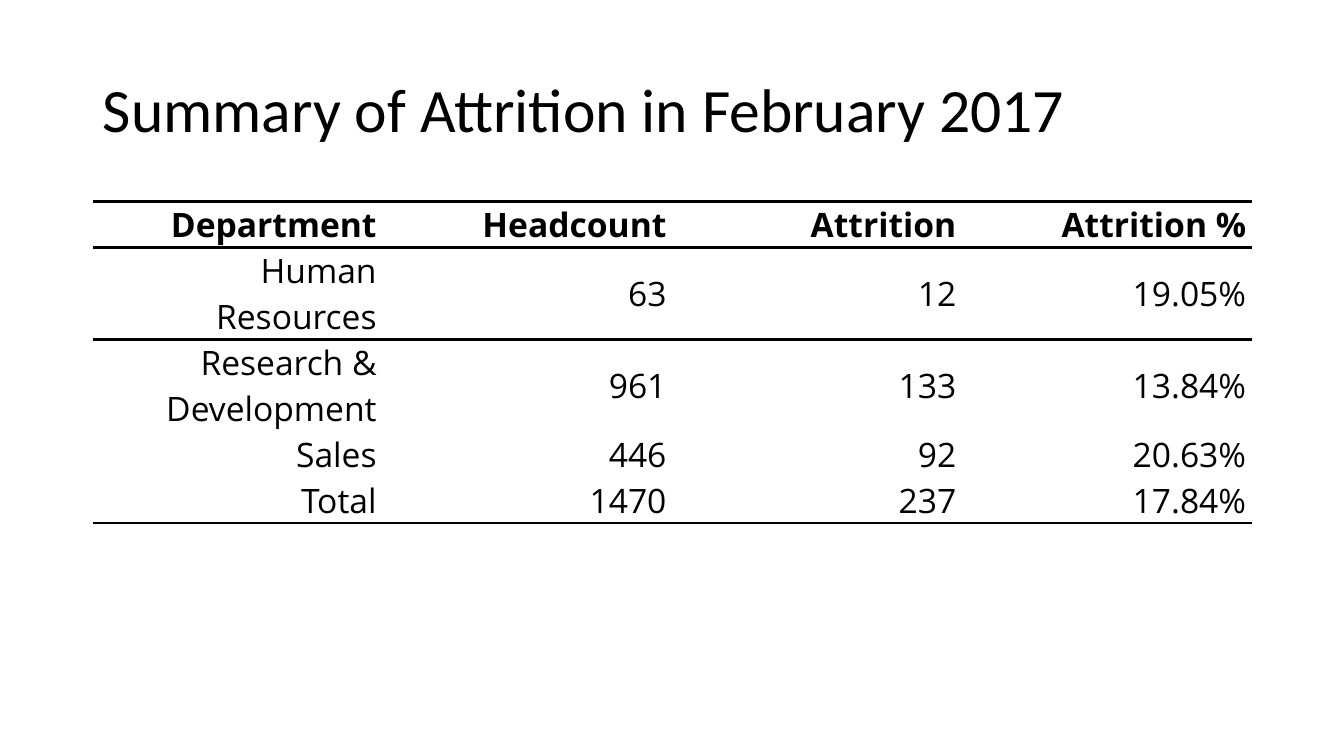
from lxml import etree
from pptx import Presentation
from pptx.dml.color import RGBColor
from pptx.enum.text import MSO_ANCHOR, PP_ALIGN
from pptx.oxml import parse_xml
from pptx.oxml.ns import qn
from pptx.util import Inches, Pt

LEFT, RIGHT = PP_ALIGN.LEFT, PP_ALIGN.RIGHT
MIDDLE = MSO_ANCHOR.MIDDLE
COLORS = {"ink": "000000"}
DRAW = "http://schemas.openxmlformats.org/drawingml/2006/main"
PLAIN = "{2D5ABB26-0587-4C30-8999-92F81FD0307C}"


def write(frame, text, size, font, align, bold=False):
    para = frame.paragraphs[0]
    para.alignment = align
    run = para.add_run()
    run.text = text
    run.font.size = Pt(size)
    run.font.name = font
    run.font.bold = bold
    run.font.color.rgb = RGBColor.from_string(COLORS["ink"])
    return para


def rule(cell, side):
    line = parse_xml(
        f'<a:{side} xmlns:a="{DRAW}" w="{Pt(2)}"><a:solidFill>'
        f'<a:srgbClr val="{COLORS["ink"]}"/></a:solidFill></a:{side}>')
    cell._tc.get_or_add_tcPr().insert(0, line)


deck = Presentation()
deck.slide_width, deck.slide_height = Inches(13.33), Inches(7.5)
slide = deck.slides.add_slide(deck.slide_layouts[5])

title = slide.shapes.title
title.left, title.top = Inches(0.92), Inches(0.39)
title.width, title.height = Inches(11.5), Inches(1.45)
title.text_frame.vertical_anchor = MIDDLE
head = write(title.text_frame, "Summary of Attrition in February 2017",
             size=44, font="Calibri", align=LEFT)
head.line_spacing = 0.9

rows = [
    ("Department", "Headcount", "Attrition", "Attrition %"),
    ("Human Resources", "63", "12", "19.05%"),
    ("Research & Development", "961", "133", "13.84%"),
    ("Sales", "446", "92", "20.63%"),
    ("Total", "1470", "237", "17.84%"),
]
lines = [1, 2, 2, 1, 1]
pitch = 0.45
last = len(rows) - 1

frame = slide.shapes.add_table(len(rows), len(rows[0]), Inches(0.92), Inches(2),
                               Inches(11.5), Inches(pitch * sum(lines)))
table = frame.table
table.horz_banding = False
etree.SubElement(table._tbl.tblPr, qn("a:tableStyleId")).text = PLAIN
for style in table._tbl.tblPr.findall(qn("a:tableStyleId"))[:-1]:
    table._tbl.tblPr.remove(style)

for r, row in enumerate(rows):
    table.rows[r].height = Inches(pitch * lines[r])
    for c, text in enumerate(row):
        cell = table.cell(r, c)
        cell.margin_left = cell.margin_right = 0
        cell.margin_top = cell.margin_bottom = 0
        cell.vertical_anchor = MIDDLE
        cell.fill.background()
        para = write(cell.text_frame, text, size=24, font="Open Sans",
                     align=RIGHT, bold=r == 0)
        para.space_before = para.space_after = Pt(1)
        props = para._p.get_or_add_pPr()
        for side in ("marL", "marR"):
            props.set(side, str(Inches(0.06)))
        if r in (0, last):
            rule(cell, "lnB")
        if r in (0, 1):
            rule(cell, "lnT")

deck.save("out.pptx")
